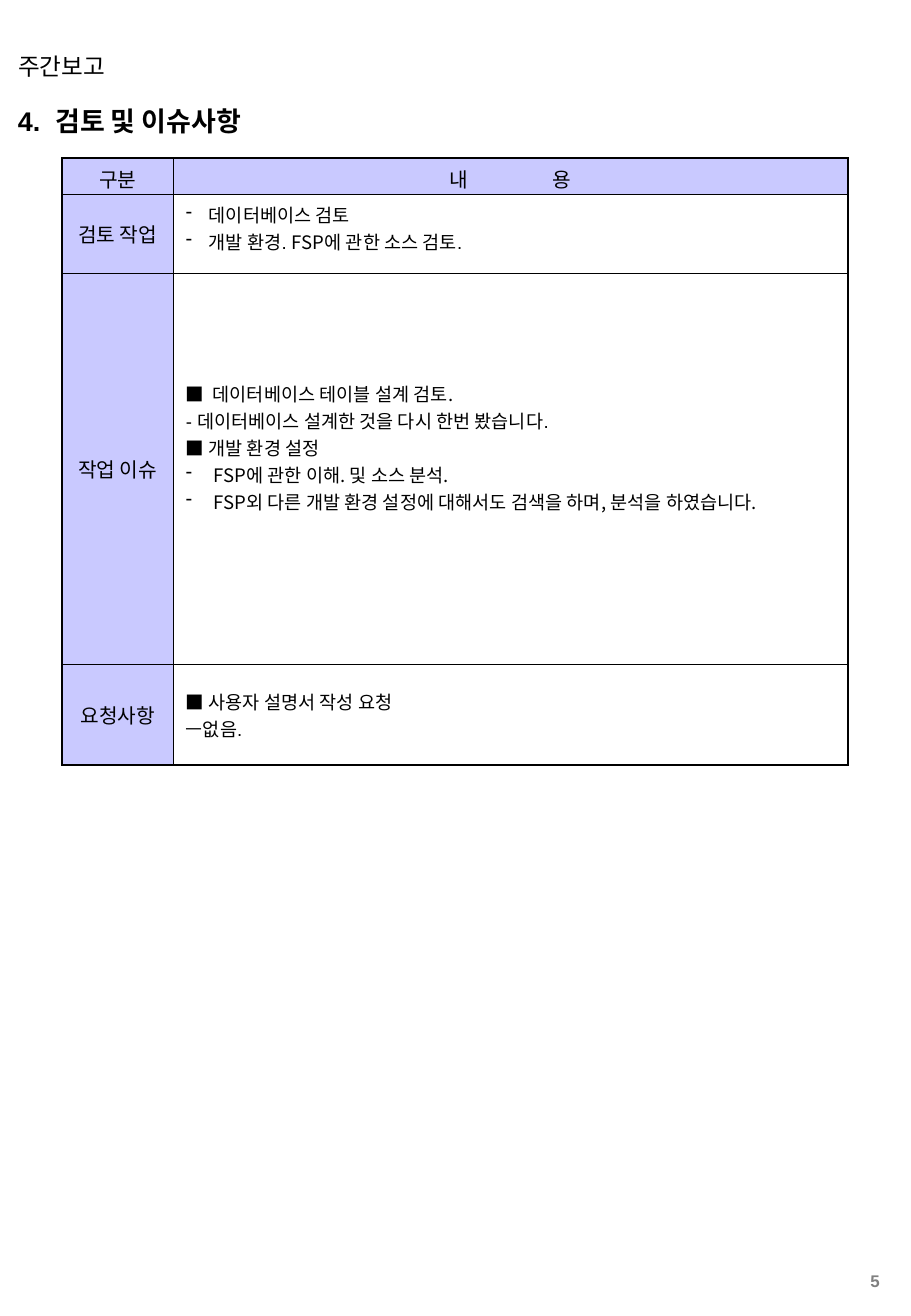
from lxml import etree
from pptx import Presentation
from pptx import util as u
from pptx.dml.color import RGBColor
from pptx.enum import text
from pptx.oxml import ns

PX = 9144  # 100 px to the inch
SANS, KOREAN = "Arial", "Noto Sans CJK KR"
BLACK, GREY, WHITE, LILAC = "000000", "808080", "FFFFFF", "C9C9FF"
OUTER, INNER = 1.08, 0.45  # border widths in points

COLUMNS = [92, 555]
ROWS = [30, 65, 322, 83]
LABELS = ["구분", "검토 작업", "작업 이슈", "요청사항"]

# Each line: bullet indent (0 for no bullet), then runs of (text, font)
REVIEW = [
    (19, [("데이터베이스 검토", SANS)]),
    (19, [("개발 환경. ", SANS), ("FSP", KOREAN), ("에 관한 소스 검토.", SANS)]),
]
ISSUES = [
    (0, [("■  데이터베이스 테이블 설계 검토.", KOREAN)]),
    (0, [("- 데이터베이스 설계한 것을 다시 한번 봤습니다.", SANS)]),
    (0, [("■ 개발 환경 설정", KOREAN)]),
    (23, [("FSP에 관한 이해. 및 소스 분석.", KOREAN)]),
    (23, [("FSP외 다른 개발 환경 설정에 대해서도 검색을 하며, 분석을 하였습니다.", KOREAN)]),
]
REQUESTS = [
    (0, [("■ ", KOREAN), ("사용자 설명서 작성 요청", SANS)]),
    (0, [("ㅡ없음.", SANS)]),
]
# Lines of each row with the bottom margin that lifts them
CONTENTS = [(REVIEW, 15), (ISSUES, 40), (REQUESTS, 5)]


def px(length):
    return u.Emu(length * PX)


def color(hex_string):
    return RGBColor.from_string(hex_string)


def style(font, size, name=SANS, fill=BLACK, bold=False):
    font.size, font.name, font.bold = u.Pt(size), name, bold
    font.color.rgb = color(fill)


def add_text(slide, box, words, size, fill=BLACK, bold=False, align=text.PP_ALIGN.LEFT):
    shape = slide.shapes.add_textbox(*map(px, box))
    shape.text_frame.word_wrap = True
    paragraph = shape.text_frame.paragraphs[0]
    paragraph.alignment = align
    style(paragraph.font, size, fill=fill, bold=bold)
    paragraph.add_run().text = words


def add_element(parent, tag, **attributes):
    return etree.SubElement(parent, ns.qn(tag), attributes)


def format_cell(cell, row, column, fill, top=5, bottom=5):
    """Draw the borders, heavier on the table's edge, then fill and margins."""
    properties = cell._tc.get_or_add_tcPr()
    on_edge = {"L": column == 0, "R": column == len(COLUMNS) - 1,
               "T": row == 0, "B": row == len(ROWS) - 1}
    for side, is_outer in on_edge.items():
        width = u.Pt(OUTER if is_outer else INNER)
        line = add_element(properties, f"a:ln{side}", w=str(int(width)))
        add_element(add_element(line, "a:solidFill"), "a:srgbClr", val=BLACK)
    cell.fill.solid()
    cell.fill.fore_color.rgb = color(fill)
    cell.vertical_anchor = text.MSO_ANCHOR.MIDDLE
    cell.margin_left = cell.margin_right = px(10)
    cell.margin_top, cell.margin_bottom = px(top), px(bottom)


def write_heading(cell, words, spacing=0):
    """Centre the words; spacing in points widens the gap after the first letter."""
    paragraph = cell.text_frame.paragraphs[0]
    paragraph.alignment = text.PP_ALIGN.CENTER
    style(paragraph.font, 12)
    if spacing:
        first = paragraph.add_run()
        first.text, words = words[0], words[1:]
        first._r.get_or_add_rPr().set("spc", str(spacing * 100))
    paragraph.add_run().text = words


def write_lines(cell, lines):
    for index, (indent, runs) in enumerate(lines):
        frame = cell.text_frame
        paragraph = frame.add_paragraph() if index else frame.paragraphs[0]
        if indent:
            properties = paragraph._p.get_or_add_pPr()
            properties.set("marL", str(px(indent)))
            properties.set("indent", str(-px(indent)))
            add_element(add_element(properties, "a:buClr"), "a:srgbClr", val=BLACK)
            add_element(properties, "a:buChar", char="-")
        style(paragraph.font, 11, runs[0][1])
        for words, font_name in runs:
            run = paragraph.add_run()
            run.text = words
            if font_name != runs[0][1]:
                run.font.name = font_name


def add_report_table(slide, left, top):
    frame = slide.shapes.add_table(len(ROWS), len(COLUMNS), px(left), px(top),
                                   px(sum(COLUMNS)), px(sum(ROWS)))
    table = frame.table
    table.first_row = table.horz_banding = False
    for column, width in zip(table.columns, COLUMNS):
        column.width = px(width)
    for row, height in zip(table.rows, ROWS):
        row.height = px(height)

    # Label column and header row
    for row, label in enumerate(LABELS):
        bottom = 5 if row else 0
        format_cell(table.cell(row, 0), row, 0, LILAC, bottom=bottom)
        write_heading(table.cell(row, 0), label)
    format_cell(table.cell(0, 1), 0, 1, LILAC, bottom=0)
    write_heading(table.cell(0, 1), "내용", spacing=50)

    # Contents
    for row, (lines, bottom) in enumerate(CONTENTS, start=1):
        format_cell(table.cell(row, 1), row, 1, WHITE, bottom=bottom)
        write_lines(table.cell(row, 1), lines)


def build_report(slide):
    # Report name, section title and page number
    add_text(slide, (5, 38, 595, 34), "주간보고", 14)
    add_text(slide, (5, 81, 536, 37), "4.  검토 및 이슈사항", 16, bold=True)
    add_text(slide, (678, 1042, 56, 24), "5", 10, GREY, True, text.PP_ALIGN.RIGHT)
    add_report_table(slide, 51, 130)


def main():
    presentation = Presentation()
    presentation.slide_width, presentation.slide_height = px(750), px(1084)
    build_report(presentation.slides.add_slide(presentation.slide_layouts[6]))
    presentation.save("out.pptx")


if __name__ == "__main__":
    main()
